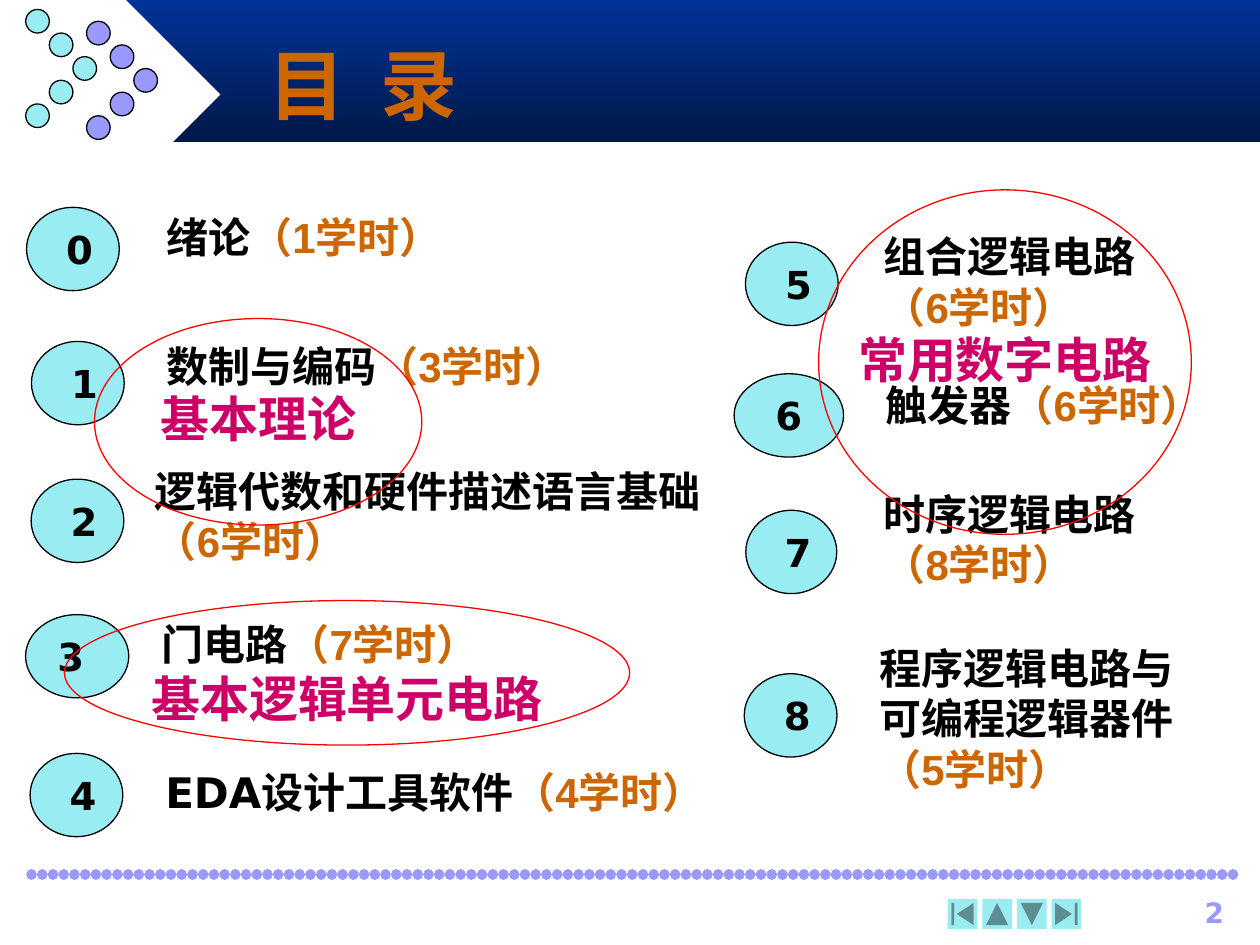
from lxml.etree import SubElement
from pptx import Presentation
from pptx.dml.color import RGBColor
from pptx.enum.shapes import MSO_CONNECTOR, MSO_SHAPE
from pptx.enum.text import MSO_ANCHOR, PP_ALIGN
from pptx.oxml.ns import qn
from pptx.util import Pt

NAVY = RGBColor(0x00, 0x33, 0x99)
DARK_NAVY = RGBColor(0x00, 0x18, 0x47)
WHITE = RGBColor(0xFF, 0xFF, 0xFF)
BLACK = RGBColor(0x00, 0x00, 0x00)
LILAC = RGBColor(0x99, 0x99, 0xFF)
AQUA = RGBColor(0x98, 0xEC, 0xF2)
ORANGE = RGBColor(0xCC, 0x66, 0x00)
MAGENTA = RGBColor(0xCC, 0x00, 0x66)
RED = RGBColor(0xFF, 0x00, 0x00)

LATIN, HOURS_FONT, GROUP_FONT = "DejaVu Sans", "Arial", "Times New Roman"
CJK = "Noto Sans CJK SC"

# number, left, top, width, shift of the number from the centre
BADGES = [
    ("0", 15.2, 118.5, 53, 3.8), ("1", 18, 195.1, 53, 3.8),
    ("2", 17.8, 273.8, 53, 3.8), ("3", 14.6, 351.2, 59, -3.6),
    ("4", 17.2, 430.5, 53, 3.8), ("5", 426, 138.4, 53, 3.8),
    ("6", 419.5, 213.6, 62.6, 0), ("7", 426.2, 291.6, 52, 3.8),
    ("8", 425.3, 385, 53, 3.8),
]

# left, top, width, lines of (topic, hours), wraps
CHAPTERS = [
    (88, 114.4, 195, [("绪论", "（1学时）")], False),
    (88, 188, 258, [("数制与编码", "（3学时）")], False),
    (81.4, 273.8, 332, [("逻辑代数和硬件描述语言基础", ""), ("", "（6学时）")], False),
    (85.2, 347, 212, [("门电路", "（7学时）")], False),
    (87.4, 431.4, 344, [("EDA设计工具软件", "（4学时）")], False),
    (497.8, 139.8, 199, [("组合逻辑电路", ""), ("", "（6学时）")], False),
    (499, 210.4, 208, [("触发器", "（6学时）")], False),
    (497.8, 286.8, 199, [("时序逻辑电路", ""), ("", "（8学时）")], False),
    (495.5, 389.4, 199, [("程序逻辑电路与可编程逻辑器件", ""), ("", "（5学时）")], True),
]

# label, left, top, width, height, top inset
GROUPS = [
    ("基本理论", 54, 182, 187, 118, 3.6),
    ("基本逻辑单元电路", 36.8, 343.2, 323, 82.6, 37),
    ("常用数字电路", 467.8, 108.5, 213, 196.8, 3.6),
]


def add_run(p, text, size, color, font=LATIN):
    r = p.add_run()
    r.text = text
    r.font.size = Pt(size)
    r.font.bold = True
    r.font.name = font
    r.font.color.rgb = color
    SubElement(r.font._element, qn("a:ea")).set("typeface", CJK)
    return r


def add_shape(slide, kind, left, top, width, height, fill=None, line=None):
    sp = slide.shapes.add_shape(kind, Pt(left), Pt(top), Pt(width), Pt(height))
    sp.shadow.inherit = False
    if fill is None:
        sp.fill.background()
    else:
        sp.fill.solid()
        sp.fill.fore_color.rgb = fill
    if line is None:
        sp.line.fill.background()
    else:
        sp.line.color.rgb = line
        sp.line.width = Pt(0.75)
    return sp


def format_frame(sp, wrap):
    tf = sp.text_frame
    tf.word_wrap = wrap
    tf.vertical_anchor = MSO_ANCHOR.MIDDLE
    return tf


def add_chevron(slide, left, top, color, step=13.5):
    """Five touching dots in the form of an arrow to the right."""
    for i in range(5):
        x = left + step * (2 - abs(i - 2))
        add_shape(slide, MSO_SHAPE.OVAL, x, top + step * i, step, step, color, BLACK)


def add_banner(slide):
    sp = add_shape(slide, MSO_SHAPE.RECTANGLE, 72, 0, 648, 81)
    sp.fill.gradient()
    sp.fill.gradient_angle = 270
    for stop, color in zip(sp.fill.gradient_stops, (NAVY, DARK_NAVY)):
        stop.color.rgb = color
    add_shape(slide, MSO_SHAPE.DIAMOND, 18, 0, 108, 108, WHITE)
    add_chevron(slide, 49.5, 12.2, LILAC)
    add_chevron(slide, 14.7, 5.4, AQUA)


def add_title(slide):
    title = slide.shapes.title
    title.left, title.top, title.width, title.height = Pt(146), Pt(24), Pt(509), Pt(48)
    slide.shapes._spTree.append(title._element)  # in front of the banner
    p = format_frame(title, True).paragraphs[0]
    p.alignment = PP_ALIGN.LEFT
    add_run(p, "目", 44, ORANGE, CJK)
    gap = add_run(p, " ", 44, ORANGE, CJK)
    gap.font._element.set("spc", "1000")
    add_run(p, "录", 44, ORANGE, CJK)


def add_dotted_line(slide):
    """Row of round dots that almost touch."""
    line = slide.shapes.add_connector(
        MSO_CONNECTOR.STRAIGHT, Pt(18), Pt(499.7), Pt(708), Pt(499.7))
    line.line.color.rgb = LILAC
    line.line.width = Pt(6)
    ln = line.line._ln
    ln.set("cap", "rnd")
    dash = SubElement(SubElement(ln, qn("a:custDash")), qn("a:ds"))
    dash.set("d", "100000")
    dash.set("sp", "2000")
    SubElement(line._element.spPr, qn("a:effectLst"))


def add_footer(slide):
    add_dotted_line(slide)
    buttons = [
        (MSO_SHAPE.ACTION_BUTTON_BEGINNING, 0),
        (MSO_SHAPE.ACTION_BUTTON_BACK_OR_PREVIOUS, 90),
        (MSO_SHAPE.ACTION_BUTTON_FORWARD_OR_NEXT, 90),
        (MSO_SHAPE.ACTION_BUTTON_END, 0),
    ]
    for i, (kind, angle) in enumerate(buttons):
        add_shape(slide, kind, 541.5 + 19.8 * i, 513.8, 17, 17, AQUA).rotation = angle

    box = slide.shapes.add_textbox(Pt(638), Pt(508.2), Pt(68.5), Pt(24))
    box.text_frame.word_wrap = True
    p = box.text_frame.paragraphs[0]
    p.alignment = PP_ALIGN.RIGHT
    add_run(p, "2", 16, LILAC)


def add_badge(slide, number, left, top, width, shift):
    sp = add_shape(slide, MSO_SHAPE.OVAL, left, top, width, 47.6, AQUA, BLACK)
    tf = format_frame(sp, False)
    tf.margin_left, tf.margin_right = Pt(7.2 + shift), Pt(7.2 - shift)
    p = tf.paragraphs[0]
    p.alignment = PP_ALIGN.CENTER
    add_run(p, number, 22, BLACK)


def add_chapter(slide, left, top, width, lines, wrap):
    box = slide.shapes.add_textbox(Pt(left), Pt(top), Pt(width), Pt(42))
    tf = format_frame(box, wrap)
    for i, (topic, hours) in enumerate(lines):
        p = tf.add_paragraph() if i else tf.paragraphs[0]
        if topic:
            add_run(p, topic, 24, BLACK)
        if hours:
            add_run(p, hours, 24, ORANGE, HOURS_FONT)


def add_group(slide, label, left, top, width, height, inset):
    """Red ring around related chapters, with its label inside."""
    sp = add_shape(slide, MSO_SHAPE.OVAL, left, top, width, height, line=RED)
    tf = format_frame(sp, False)
    tf.margin_top = Pt(inset)
    p = tf.paragraphs[0]
    p.alignment = PP_ALIGN.CENTER
    p.line_spacing = 0.9
    add_run(p, label, 28, MAGENTA, GROUP_FONT)


def main():
    prs = Presentation()
    prs.slide_width, prs.slide_height = Pt(720), Pt(540)
    slide = prs.slides.add_slide(prs.slide_layouts[5])
    add_banner(slide)
    add_footer(slide)
    add_title(slide)
    for chapter in CHAPTERS:
        add_chapter(slide, *chapter)
    for badge in BADGES:
        add_badge(slide, *badge)
    for group in GROUPS:
        add_group(slide, *group)
    prs.save("out.pptx")


if __name__ == "__main__":
    main()
